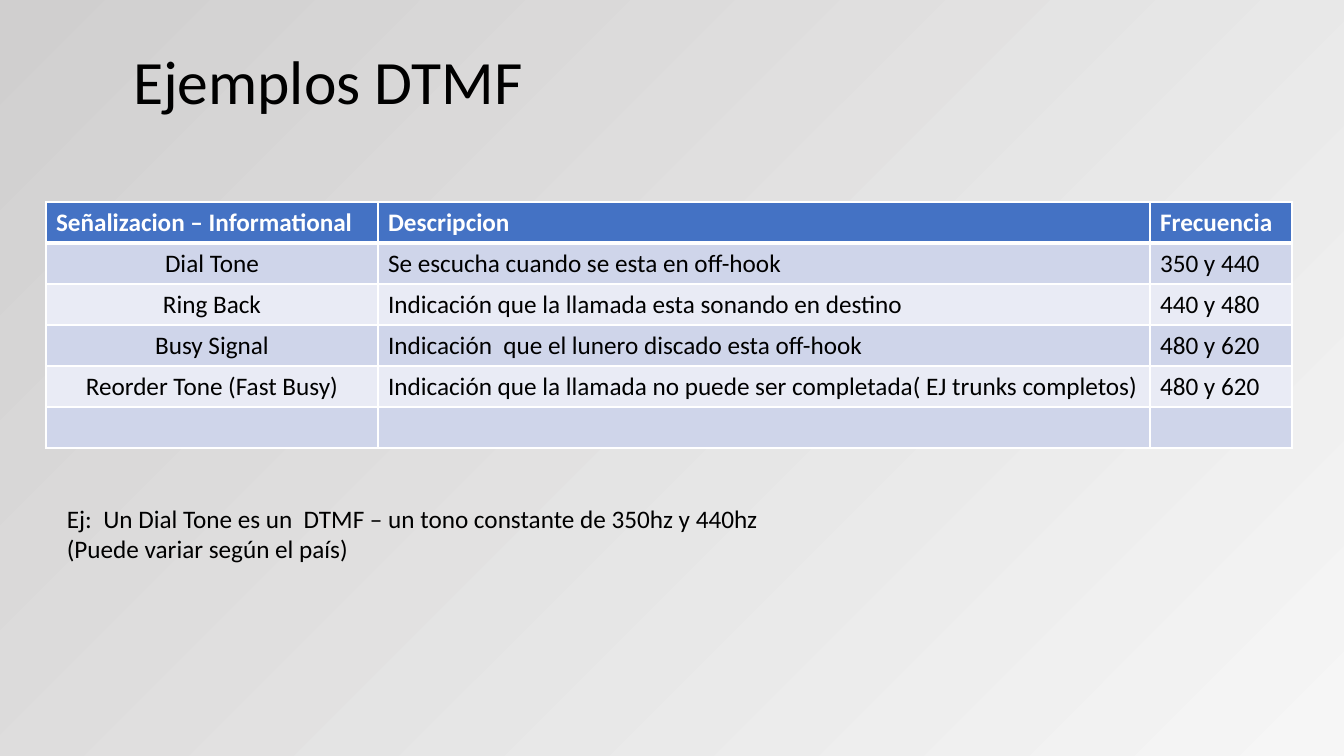
from lxml.etree import SubElement
from pptx import Presentation
from pptx.dml.color import RGBColor
from pptx.enum.text import MSO_ANCHOR, PP_ALIGN
from pptx.oxml.ns import qn
from pptx.util import Emu, Pt

ROWS = [
    ("Señalizacion – Informational", "Descripcion", "Frecuencia"),
    ("Dial Tone", "Se escucha cuando se esta en off-hook", "350 y 440"),
    ("Ring Back", "Indicación que la llamada esta sonando en destino", "440 y 480"),
    ("Busy Signal", "Indicación  que el lunero discado esta off-hook", "480 y 620"),
    ("Reorder Tone (Fast Busy)",
     "Indicación que la llamada no puede ser completada( EJ trunks completos)",
     "480 y 620"),
    ("", "", ""),
]
COLUMN_WIDTHS = [332, 772, 142]
ROW_HEIGHT = 41
NOTE = [
    "Ej:  Un Dial Tone es un  DTMF – un tono constante de 350hz y 440hz",
    "(Puede variar según el país)",
]


def px(length):
    return Emu(round(length * 12192000 / 1344))


def color(value):
    return RGBColor.from_string(value)


class SlideBuilder:
    font_name = "Calibri"
    text_color = "000000"
    header_fill = "4472C4"
    band_fills = ("E9EBF5", "CFD5EA")
    border_color = "FFFFFF"

    def __init__(self, presentation):
        self.slide = presentation.slides.add_slide(presentation.slide_layouts[5])

    def background(self, *stop_colors):
        fill = self.slide.background.fill
        fill.gradient()
        fill.gradient_angle = 315
        for stop, value in zip(fill.gradient_stops, stop_colors):
            stop.color.rgb = color(value)

    def format_text(self, paragraph, text, size=18, font_color=None, bold=False,
                    **paragraph_format):
        for name, value in paragraph_format.items():
            setattr(paragraph, name, value)
        run = paragraph.add_run()
        run.text = text
        font_format = {"name": self.font_name, "size": Pt(size), "bold": bold}
        for name, value in font_format.items():
            setattr(run.font, name, value)
        run.font.color.rgb = color(font_color or self.text_color)

    def title(self, text, left, top, width, height):
        shape = self.slide.shapes.title
        box = {"left": left, "top": top, "width": width, "height": height}
        for name, value in box.items():
            setattr(shape, name, px(value))
        shape.text_frame.vertical_anchor = MSO_ANCHOR.MIDDLE
        self.format_text(shape.text_frame.paragraphs[0], text, size=44,
                         alignment=PP_ALIGN.LEFT, line_spacing=0.9)

    def text(self, lines, left, top, width, height):
        shape = self.slide.shapes.add_textbox(*map(px, (left, top, width, height)))
        frame = shape.text_frame
        frame.word_wrap = True
        for index, line in enumerate(lines):
            paragraph = frame.add_paragraph() if index else frame.paragraphs[0]
            self.format_text(paragraph, line)

    def borders(self, cell, row_index):
        widths = {"lnL": 1, "lnR": 1,
                  "lnT": 3 if row_index == 1 else 1,
                  "lnB": 3 if row_index == 0 else 1}
        properties = cell._tc.get_or_add_tcPr()
        for side, width in widths.items():
            line = SubElement(properties, qn(f"a:{side}"), w=str(Pt(width)))
            fill = SubElement(line, qn("a:solidFill"))
            SubElement(fill, qn("a:srgbClr"), val=self.border_color)

    def table(self, rows, column_widths, row_height, left, top):
        frame = self.slide.shapes.add_table(
            len(rows), len(column_widths), px(left), px(top),
            px(sum(column_widths)), px(row_height * len(rows)))
        table = frame.table
        for column, width in zip(table.columns, column_widths):
            column.width = px(width)
        for row_index, (row, texts) in enumerate(zip(table.rows, rows)):
            row.height = px(row_height)
            is_header = row_index == 0
            for column_index, (cell, text) in enumerate(zip(row.cells, texts)):
                self.borders(cell, row_index)
                cell.fill.solid()
                cell.fill.fore_color.rgb = color(
                    self.header_fill if is_header else self.band_fills[row_index % 2])
                if text:
                    centered = column_index == 0 and not is_header
                    self.format_text(
                        cell.text_frame.paragraphs[0], text, bold=is_header,
                        font_color="FFFFFF" if is_header else None,
                        alignment=PP_ALIGN.CENTER if centered else PP_ALIGN.LEFT)


def main():
    presentation = Presentation()
    presentation.slide_width = px(1344)
    presentation.slide_height = px(756)
    builder = SlideBuilder(presentation)
    builder.background("D0CFCF", "F6F6F6")
    builder.title("Ejemplos DTMF", 123, 20, 1121, 130)
    builder.table(ROWS, COLUMN_WIDTHS, ROW_HEIGHT, 46, 202)
    builder.text(NOTE, 57, 498, 908, 72)
    presentation.save("out.pptx")


if __name__ == "__main__":
    main()
